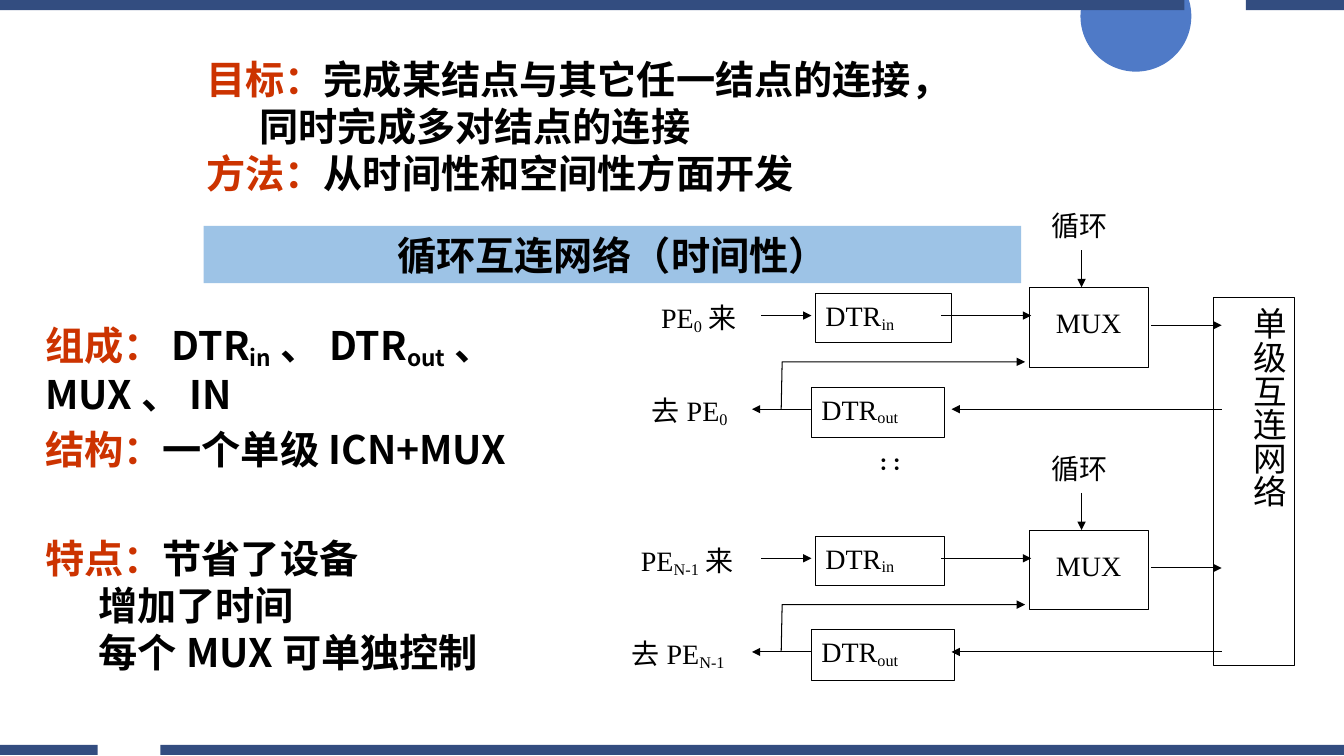
"""Build the slide on the recirculating interconnection network."""
from dataclasses import dataclass
from typing import Any, Optional

import lxml.etree
import pptx
import pptx.dml.color
import pptx.enum.shapes
import pptx.enum.text
import pptx.oxml
import pptx.oxml.ns
import pptx.util

Pt = pptx.util.Pt
qn = pptx.oxml.ns.qn
SHAPE = pptx.enum.shapes.MSO_SHAPE
ALIGN = pptx.enum.text.PP_ALIGN
ANCHOR = pptx.enum.text.MSO_ANCHOR


@dataclass(frozen=True)
class Theme:
    sans: str = "Noto Sans CJK SC"
    serif: str = "Times New Roman"
    ink: str = "000000"
    accent: str = "CC3300"
    banner: str = "9DC3E6"
    bar: str = "334D80"
    circle: str = "4472C4"
    heading: float = 28
    vertical: float = 24
    label: float = 20
    line: float = 0.75


@dataclass(frozen=True)
class Run:
    text: str
    sub: bool = False
    accent: bool = False


@dataclass(frozen=True)
class Para:
    runs: tuple[Run, ...]
    indent: float = 0


@dataclass(frozen=True)
class Box:
    left: float
    top: float
    width: float
    height: float
    paras: tuple[Para, ...]
    outline: bool = True
    size: float = 20
    bold: bool = False
    align: Any = ALIGN.LEFT
    inset: float = 3.6
    vert: Optional[str] = None


@dataclass(frozen=True)
class Arrow:
    x1: float
    y1: float
    x2: float
    y2: float


@dataclass(frozen=True)
class Channel:
    dy: float
    index: str
    label_shift: float
    in_width: float
    out_width: float


T = Theme()


def rgb(value: str) -> pptx.dml.color.RGBColor:
    return pptx.dml.color.RGBColor.from_string(value)


def para(*runs: Run, indent: float = 0) -> tuple[Para, ...]:
    return (Para(runs, indent),)


def assign(obj: Any, values: dict[str, Any]) -> None:
    for name, value in values.items():
        setattr(obj, name, value)


def write(sp: Any, box: Box) -> None:
    tf = sp.text_frame
    assign(tf, dict(word_wrap=True, auto_size=pptx.enum.text.MSO_AUTO_SIZE.NONE,
                    vertical_anchor=ANCHOR.TOP, margin_left=Pt(7.2), margin_right=Pt(7.2),
                    margin_top=Pt(box.inset), margin_bottom=Pt(3.6)))
    if box.vert:
        tf._txBody.bodyPr.set("vert", box.vert)
    face = T.sans if box.bold else T.serif
    for i, item in enumerate(box.paras):
        p = tf.add_paragraph() if i else tf.paragraphs[0]
        assign(p, dict(alignment=box.align, line_spacing=1.0, space_before=Pt(0)))
        if item.indent:
            p._p.get_or_add_pPr().set("marL", str(Pt(item.indent)))
        for run in item.runs:
            r = p.add_run()
            r.text = run.text
            assign(r.font, dict(name=face, size=Pt(box.size), bold=box.bold))
            r.font.color.rgb = rgb(T.accent if run.accent else T.ink)
            rPr = r._r.get_or_add_rPr()
            if run.sub:
                rPr.set("baseline", "-14000")
            if box.bold:
                lxml.etree.SubElement(rPr, qn("a:ea")).set("typeface", face)


def draw_box(slide: Any, box: Box) -> None:
    frame = (Pt(box.left), Pt(box.top), Pt(box.width), Pt(box.height))
    if box.outline:
        sp = slide.shapes.add_shape(SHAPE.RECTANGLE, *frame)
        sp.shadow.inherit = False
        sp.fill.background()
        style_line(sp)
    else:
        sp = slide.shapes.add_textbox(*frame)
    write(sp, box)


def style_line(sp: Any, arrow: bool = False) -> None:
    sp.line.color.rgb = rgb(T.ink)
    sp.line.width = Pt(T.line)
    if arrow:
        lxml.etree.SubElement(sp.line._get_or_add_ln(), qn("a:tailEnd")).set("type", "triangle")


def draw_arrow(slide: Any, a: Arrow) -> None:
    c = slide.shapes.add_connector(pptx.enum.shapes.MSO_CONNECTOR.STRAIGHT,
                                   Pt(a.x1), Pt(a.y1), Pt(a.x2), Pt(a.y2))
    style_line(c, arrow=True)
    lxml.etree.SubElement(c._element.spPr, qn("a:effectLst"))


def draw_feedback(slide: Any, dy: float) -> None:
    fb = slide.shapes.build_freeform(Pt(558), Pt(292.3 + dy))
    fb.add_line_segments([(Pt(558.7), Pt(258.5 + dy)), (Pt(732.2), Pt(258.5 + dy))], close=False)
    sp = fb.convert_to_shape()
    sp.shadow.inherit = False
    sp.fill.background()
    style_line(sp, arrow=True)


def draw_bar(slide: Any, top: float, spans: tuple[tuple[float, float], ...]) -> None:
    bottom = top + 7.2
    fb = slide.shapes.build_freeform(Pt(spans[0][0]), Pt(top))
    for i, (x1, x2) in enumerate(spans):
        if i:
            fb.move_to(Pt(x1), Pt(top))
        fb.add_line_segments([(Pt(x), Pt(y)) for x, y in ((x2, top), (x2, bottom), (x1, bottom))])
    fill_plain(fb.convert_to_shape(), T.bar)


def fill_plain(sp: Any, color: str) -> None:
    sp.shadow.inherit = False
    sp.fill.solid()
    sp.fill.fore_color.rgb = rgb(color)
    sp.line.fill.background()


def draw_decor(slide: Any) -> None:
    sp = slide.shapes.add_shape(SHAPE.OVAL, Pt(771.8), Pt(-28), Pt(79.2), Pt(79.2))
    fill_plain(sp, T.circle)
    color = sp._element.spPr.find(qn("a:solidFill"))[0]
    lxml.etree.SubElement(color, qn("a:alpha")).set("val", "94000")
    draw_bar(slide, 532.1, ((0, 69.8), (114.5, 960)))
    draw_bar(slide, 0, ((0, 846), (889.9, 960)))


def draw_channel(slide: Any, ch: Channel) -> None:
    dy, x = ch.dy, ch.label_shift
    index = Run(ch.index, sub=True)
    boxes = (
        Box(582.5, 209.5 + dy, ch.in_width, 35.5, para(Run("DTR"), Run("in", sub=True))),
        Box(579.6, 276.5 + dy, ch.out_width, 36, para(Run("DTR"), Run("out", sub=True))),
        Box(735.1, 205.2 + dy, 85, 57, para(Run("MUX")), align=ALIGN.CENTER, inset=13),
        Box(743.8, 145.2 + dy, 72, 34.6, para(Run("循环")), outline=False),
        Box(465.1 + x, 211 + dy, 104, 35, para(Run("PE"), index, Run("来")), outline=False),
        Box(458.6 + x, 277.6 + dy, 104, 35, para(Run("去PE"), index), outline=False),
    )
    arrows = (
        Arrow(772.6, 178.6, 772.6, 205.2), Arrow(672.5, 225.4, 736.6, 225.4),
        Arrow(822.2, 232.3, 872.6, 232.3), Arrow(872.6, 292.3, 679.7, 292.3),
        Arrow(579.6, 292.3, 537.1, 292.3), Arrow(543.6, 225.4, 579.6, 225.4),
    )
    for box in boxes:
        draw_box(slide, box)
    for a in arrows:
        draw_arrow(slide, Arrow(a.x1, a.y1 + dy, a.x2, a.y2 + dy))
    draw_feedback(slide, dy)


def draw_notes(slide: Any) -> None:
    notes = (
        (25.2, 226.1, 420.5, 76, para(
            Run("组成：", accent=True), Run("DTR"), Run("in", sub=True), Run("、DTR"),
            Run("out", sub=True), Run("、MUX、IN"))),
        (25.2, 300.2, 409, 41, para(Run("结构：", accent=True), Run("一个单级ICN+MUX"))),
        (25.2, 378, 409.7, 108.7, para(Run("特点：", accent=True), Run("节省了设备"))
         + para(Run("增加了时间"), indent=38) + para(Run("每个MUX可单独控制"), indent=38)),
        (140.4, 36, 612, 108.7,
         para(Run("目标：", accent=True), Run("完成某结点与其它任一结点的连接，"))
         + para(Run("同时完成多对结点的连接"), indent=38)
         + para(Run("方法：", accent=True), Run("从时间性和空间性方面开发"))),
    )
    for note in notes:
        draw_box(slide, Box(*note, outline=False, size=T.heading, bold=True))


def main() -> None:
    prs = pptx.Presentation()
    assign(prs, dict(slide_width=Pt(960), slide_height=Pt(540)))
    slide = prs.slides.add_slide(prs.slide_layouts[5])
    title = slide.shapes.title
    assign(title, dict(left=Pt(145.4), top=Pt(161.3), width=Pt(584), height=Pt(41)))
    title.fill.solid()
    title.fill.fore_color.rgb = rgb(T.banner)
    write(title, Box(0, 0, 0, 0, para(Run("循环互连网络（时间性）")), size=T.heading,
                     bold=True, align=ALIGN.CENTER))
    draw_decor(slide)
    draw_box(slide, Box(866.9, 212.4, 57.6, 262.8, para(Run("单级互连网络")),
                        size=T.vertical, vert="eaVert"))
    for ch in (Channel(0, "0", 0, 97.2, 95), Channel(173.4, "N-1", -14.4, 92.2, 102.2)):
        draw_channel(slide, ch)
    draw_box(slide, Box(600.5, 319, 57.6, 62, para(Run("∶∶")), outline=False,
                        size=T.vertical, vert="eaVert"))
    draw_notes(slide)
    prs.save("out.pptx")


if __name__ == "__main__":
    main()
